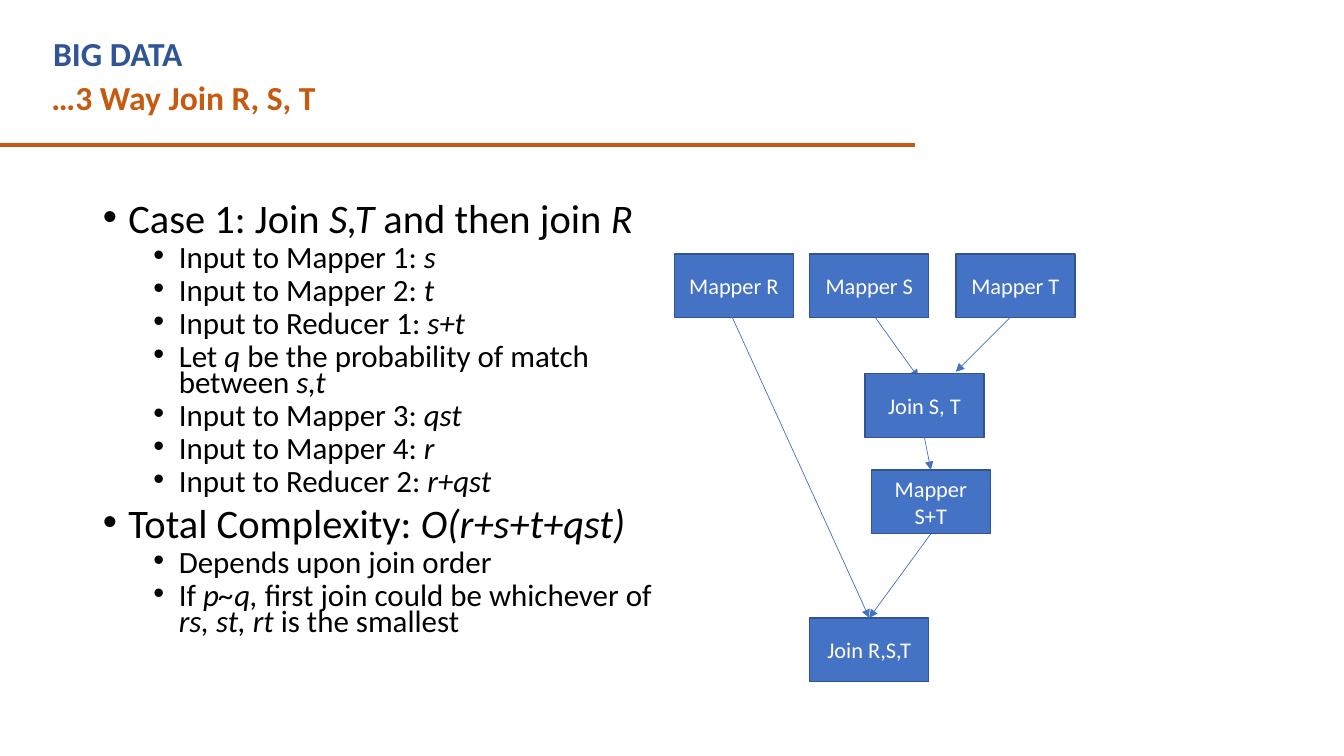
from dataclasses import dataclass

from lxml import etree
from pptx import Presentation
from pptx import util as u
from pptx.dml.color import RGBColor as Rgb
from pptx.enum import shapes, text
from pptx.oxml.ns import qn


@dataclass(frozen=True)
class Theme:
    """Colours and type sizes of the slide."""
    font: str = "Calibri"
    ink: str = "000000"
    paper: str = "FFFFFF"
    navy: str = "2F5597"
    rust: str = "C55A11"
    blue: str = "4472C4"
    edge: str = "325491"
    head: float = 24
    label: float = 16
    levels: tuple = (28.9, 22.1)


class Deck:
    """Holds the theme and the current slide and draws its elements."""

    def __init__(self, theme):
        """Start a wide deck with one title and body slide."""
        self.theme = theme
        self.prs = Presentation()
        self.prs.slide_width, self.prs.slide_height = u.Inches(13.33), u.Inches(7.5)
        self.slide = self.prs.slides.add_slide(self.prs.slide_layouts[1])

    def style(self, para, size, color, bold=False):
        """Set the font of a whole paragraph."""
        font = para.font
        font.name, font.size, font.bold = self.theme.font, u.Pt(size), bold
        font.color.rgb = Rgb.from_string(color)

    def place(self, shape, left, top, width, height):
        """Move and size a shape in centimetres."""
        shape.left, shape.top = u.Cm(left), u.Cm(top)
        shape.width, shape.height = u.Cm(width), u.Cm(height)

    def heading(self, shape, words, color, *area):
        """Fill a bold, left-aligned heading."""
        self.place(shape, *area)
        frame = shape.text_frame
        frame.text, frame.word_wrap = words, True
        frame.auto_size = text.MSO_AUTO_SIZE.NONE
        frame.vertical_anchor = text.MSO_ANCHOR.TOP
        para = frame.paragraphs[0]
        para.alignment = text.PP_ALIGN.LEFT
        self.style(para, self.theme.head, color, True)

    def title(self, words, *area):
        """Fill the title placeholder."""
        self.heading(self.slide.shapes.title, words, self.theme.rust, *area)

    def topic(self, words, *area):
        """Add the course name above the title."""
        box = self.slide.shapes.add_textbox(0, 0, 0, 0)
        self.heading(box, words, self.theme.navy, *area)

    def bullets(self, items, *area):
        """Fill the body with (level, text) items, italics between asterisks."""
        body = self.slide.placeholders[1]
        self.place(body, *area)
        frame = body.text_frame
        frame.auto_size = text.MSO_AUTO_SIZE.NONE
        for n, (level, words) in enumerate(items):
            para = frame.add_paragraph() if n else frame.paragraphs[0]
            para.level, para.line_spacing = level, 0.7
            para.space_before = u.Pt((10, 5)[level] if n else 0)
            props = para._p.get_or_add_pPr()
            props.set("marL", str(u.Cm((0.64, 1.91)[level])))
            props.set("indent", str(u.Cm(-0.64)))
            etree.SubElement(props, qn("a:buFont"), typeface="Arial")
            etree.SubElement(props, qn("a:buChar"), char="•")
            self.style(para, self.theme.levels[level], self.theme.ink)
            for k, part in enumerate(words.split("*")):
                if part:
                    run = para.add_run()
                    run.text, run.font.italic = part, k % 2 == 1

    def box(self, words, left, top):
        """Add a labelled step of the data flow."""
        step = self.slide.shapes.add_shape(shapes.MSO_SHAPE.RECTANGLE, 0, 0, 0, 0)
        self.place(step, left, top, 3, 1.61)
        step.shadow.inherit = False
        step.fill.solid()
        step.fill.fore_color.rgb = Rgb.from_string(self.theme.blue)
        step.line.color.rgb = Rgb.from_string(self.theme.edge)
        step.line.width = u.Pt(1)
        frame = step.text_frame
        frame.text, frame.word_wrap = words, True
        frame.vertical_anchor = text.MSO_ANCHOR.MIDDLE
        para = frame.paragraphs[0]
        para.alignment = text.PP_ALIGN.CENTER
        self.style(para, self.theme.label, self.theme.paper)
        return step

    def line(self, start, end, color, width):
        """Add a straight line between two points."""
        ends = [u.Cm(v) for v in (*start, *end)]
        line = self.slide.shapes.add_connector(shapes.MSO_CONNECTOR.STRAIGHT, *ends)
        line.line.color.rgb = Rgb.from_string(color)
        line.line.width = u.Pt(width)
        etree.SubElement(line._element.spPr, qn("a:effectLst"))
        return line

    def arrow(self, start, end):
        """Add an arrow between points, or from box bottom to box top."""
        spots = [p if isinstance(p, tuple) else (0, 0) for p in (start, end)]
        line = self.line(*spots, self.theme.blue, 0.5)
        etree.SubElement(line.line._get_or_add_ln(), qn("a:tailEnd"), type="triangle")
        if not isinstance(start, tuple):
            line.begin_connect(start, 2)
        if not isinstance(end, tuple):
            line.end_connect(end, 0)


def main():
    """Build the slide and save it."""
    deck = Deck(Theme())
    deck.bullets([
        (0, "Case 1: Join *S,T *and then join *R*"),
        (1, "Input to Mapper 1: *s*"),
        (1, "Input to Mapper 2: *t*"),
        (1, "Input to Reducer 1: *s+t*"),
        (1, "Let *q *be the probability of match between *s,t*"),
        (1, "Input to Mapper 3: *qst*"),
        (1, "Input to Mapper 4: *r*"),
        (1, "Input to Reducer 2: *r+qst*"),
        (0, "Total Complexity: *O(r+s+t+qst)*"),
        (1, "Depends upon join order"),
        (1, "If *p~q, *first join could be whichever of *rs, st, rt *is the smallest"),
    ], 2.34, 5.08, 14.4, 12.09)

    for name, left in (("R", 16.99), ("S", 20.4), ("T", 24.08)):
        deck.box(f"Mapper {name}", left, 6.4)
    deck.arrow((22.05, 8), (23.14, 9.52))
    deck.arrow((25.58, 7.87), (24.08, 9.37))
    pair = deck.box("Join S, T", 21.79, 9.42)
    merge = deck.box("Mapper S+T", 21.95, 11.84)
    final = deck.box("Join R,S,T", 20.4, 15.57)
    for start, end in ((pair, merge), (merge, final), ((18.39, 7.87), final)):
        deck.arrow(start, end)

    deck.title("…3 Way Join R, S, T", 1.04, 1.8, 22.23, 1.27)
    deck.line((0, 3.66), (23.04, 3.66), deck.theme.rust, 3)
    deck.topic("BIG DATA", 1.09, 0.71, 20.83, 1.27)
    deck.prs.save("out.pptx")


if __name__ == "__main__":
    main()
